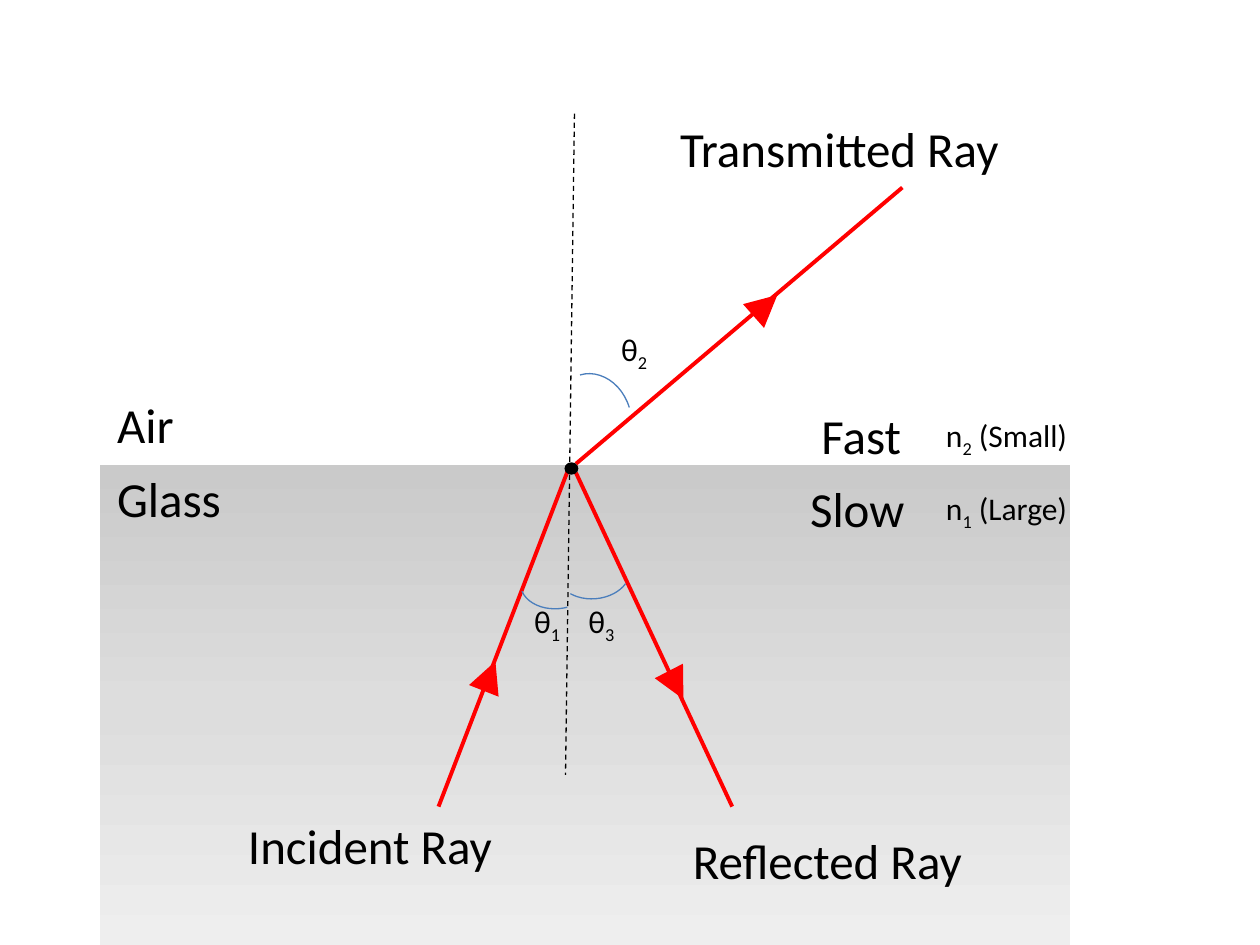
from copy import deepcopy

from pptx import Presentation
from pptx.dml.color import RGBColor
from pptx.enum.dml import MSO_LINE
from pptx.enum.shapes import MSO_CONNECTOR, MSO_SHAPE
from pptx.enum.text import MSO_AUTO_SIZE
from pptx.oxml.ns import qn
from pptx.util import Cm, Pt

# Content; lengths in cm
RED, BLACK, BLUE = "FF0000", "000000", "4B7EBC"
GLASS_BOX = (2.01, 9.37, 19.56, 9.68)
GLASS_STOPS = [(0, "CACACA"), (0.5, "DDDDDD"), (1, "EEEEEE")]
NORMAL = (11.58, 2.29, 11.4, 15.62)
RAYS = [  # from x, y, to x, y
    (8.84, 16.26, 11.48, 9.4),    # incident
    (11.61, 9.35, 18.19, 3.78),   # transmitted
    (11.61, 9.53, 14.76, 16.26),  # reflected
]
HIT_POINT = (11.38, 9.32, 0.28, 0.25)
ARROW_SIZE = 0.64
RAY_ARROWS = [(9.55, 13.31, 21.4), (15.11, 5.84, 48.5), (13.31, 13.49, 152.7)]
ANGLE_ARCS = [  # box, rotation, start and end adjustments
    ((11.2, 7.52, 1.52, 1.83), 343.1, (162, 0)),
    ((10.49, 11.2, 1.47, 1.07), 175.1, (151.473, 210.214)),
    ((11.23, 11, 1.47, 1.07), 175.1, (122.729, 193.347)),
]
NAMES = [  # text, left, top, width, wrap
    ("Air", 2.11, 7.82, 1.9, True),
    ("Glass", 2.11, 9.32, 2.97, True),
    ("Incident Ray", 4.75, 16.31, 5.49, False),
    ("Reflected Ray", 13.72, 16.61, 5.99, False),
    ("Transmitted Ray", 13.46, 2.26, 7.01, False),
    ("Fast", 16.31, 8.05, 2.54, True),
    ("Slow", 16.08, 9.53, 2.97, True),
]
SYMBOLS = [  # symbol, subscript, remark, left, top, width
    ("θ", "1", "", 10.52, 12.01, 1.07),
    ("θ", "2", "", 12.27, 6.53, 1.07),
    ("θ", "3", "", 11.61, 12.01, 1.07),
    ("n", "1", " (Large)", 18.82, 9.73, 3.02),
    ("n", "2", " (Small)", 18.82, 8.26, 3.02),
]


def rgb(value):
    return RGBColor.from_string(value)


def add_shape(kind, box, fill=None, rotation=0):
    s = shapes.add_shape(kind, *map(Cm, box))
    s.shadow.inherit = False
    s.rotation = rotation
    s.line.fill.background()
    if fill:
        s.fill.solid()
        s.fill.fore_color.rgb = rgb(fill)
    else:
        s.fill.background()
    return s


def add_line(ends, color, width):
    s = shapes.add_connector(MSO_CONNECTOR.STRAIGHT, *map(Cm, ends))
    s.line.color.rgb = rgb(color)
    s.line.width = Pt(width)
    sp_pr = s._element.spPr
    sp_pr.append(sp_pr.makeelement(qn("a:effectLst"), {}))
    return s


def add_text(box, size, wrap, text, sub="", tail=""):
    tf = shapes.add_textbox(*map(Cm, box)).text_frame
    tf.word_wrap = wrap
    tf.auto_size = MSO_AUTO_SIZE.SHAPE_TO_FIT_TEXT
    p = tf.paragraphs[0]
    for part, baseline in ((text, None), (sub, "-25000"), (tail, None)):
        if part:
            r = p.add_run()
            r.text = part
            if baseline:
                r.font._element.set("baseline", baseline)
    p.font.name = "Calibri"
    p.font.size = Pt(size)
    p.font.color.rgb = rgb(BLACK)


prs = Presentation()
prs.slide_width, prs.slide_height = Cm(25.4), Cm(19.05)
shapes = prs.slides.add_slide(prs.slide_layouts[6]).shapes

# Glass, shaded from top to bottom
glass = add_shape(MSO_SHAPE.RECTANGLE, GLASS_BOX)
glass.fill.gradient()
glass.fill.gradient_angle = 270
stop_list = next(glass._element.spPr.iter(qn("a:gsLst")))
stop_list.insert(1, deepcopy(stop_list[0]))
for stop, (position, color) in zip(glass.fill.gradient_stops, GLASS_STOPS):
    stop.position = position
    stop.color.rgb = rgb(color)

# Rays, normal and the point where they meet
for ray in RAYS:
    add_line(ray, RED, 2.25)
add_line(NORMAL, BLACK, 0.75).line.dash_style = MSO_LINE.DASH
add_shape(MSO_SHAPE.OVAL, HIT_POINT, BLACK)
for left, top, rotation in RAY_ARROWS:
    add_shape(MSO_SHAPE.ISOSCELES_TRIANGLE, (left, top, ARROW_SIZE, ARROW_SIZE),
              RED, rotation)

# Labels
for text, left, top, width, wrap in NAMES:
    add_text((left, top, width, 1.45), 28, wrap, text)
for symbol, sub, remark, left, top, width in SYMBOLS:
    add_text((left, top, width, 1.02), 18, False, symbol, sub, remark)

# Angle arcs
for box, rotation, ends in ANGLE_ARCS:
    arc = add_shape(MSO_SHAPE.ARC, box, rotation=rotation)
    arc.line.color.rgb = rgb(BLUE)
    arc.line.width = Pt(0.75)
    for i, value in enumerate(ends):
        arc.adjustments[i] = value

prs.save("out.pptx")
